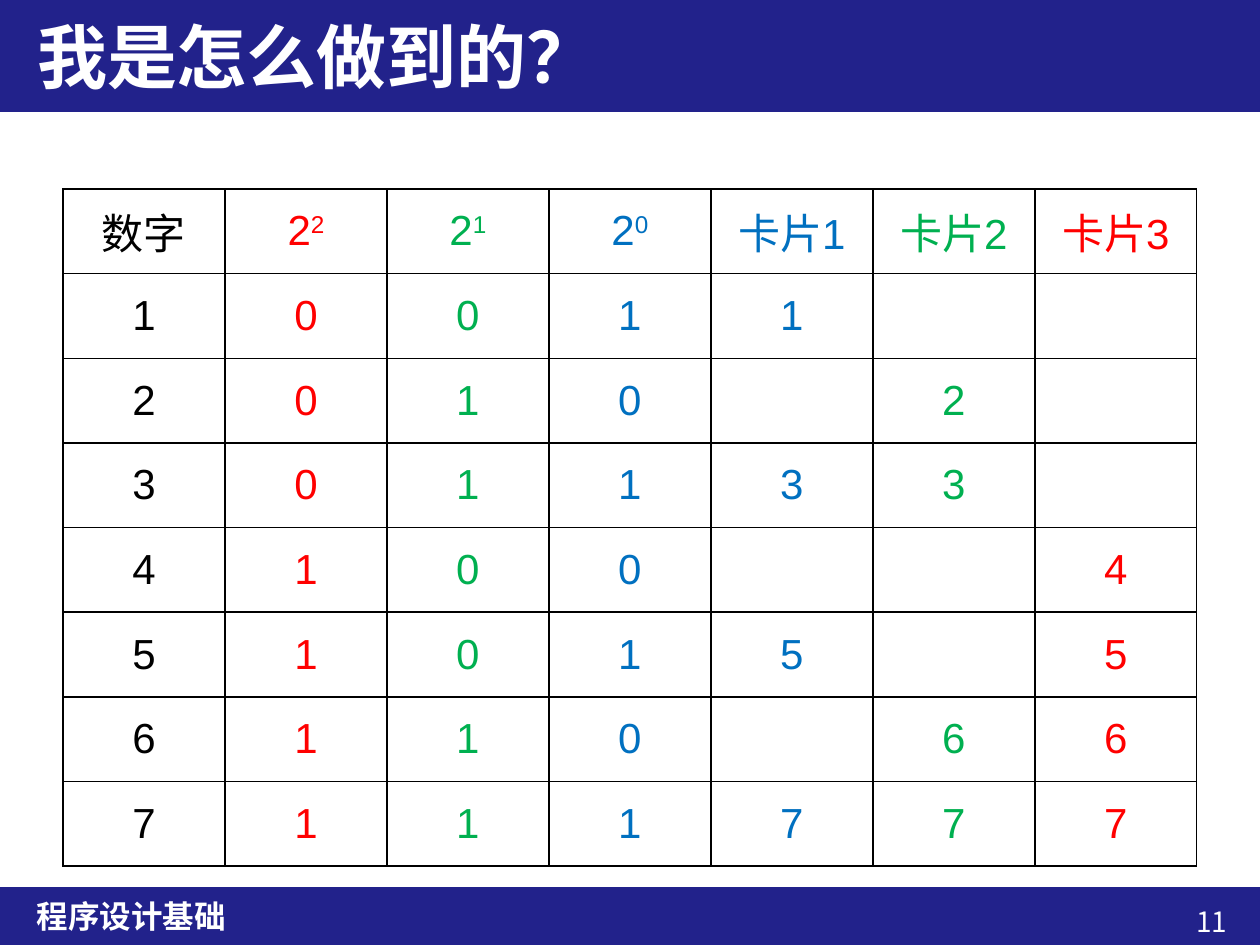
from lxml.etree import SubElement
from pptx import Presentation
from pptx.dml.color import RGBColor
from pptx.enum.shapes import MSO_SHAPE as Shape
from pptx.enum.text import MSO_ANCHOR as Anchor, MSO_AUTO_SIZE as AutoSize, PP_ALIGN as Align
from pptx.oxml.ns import qn
from pptx.util import Pt

NAVY = RGBColor(0x22, 0x22, 0x8B)
WHITE = RGBColor(0xFF, 0xFF, 0xFF)
BLACK = RGBColor(0, 0, 0)
RED = RGBColor(0xFF, 0, 0)
GREEN = RGBColor(0, 0xB0, 0x50)
BLUE = RGBColor(0, 0x70, 0xC0)


class SlideBuilder:
    heading_font = "Noto Sans CJK SC"
    table_font = "Arial"

    def __init__(self, deck):
        self.slide = deck.slides.add_slide(deck.slide_layouts[5])

    def bar(self, left, top, width, height):
        bar = self.slide.shapes.add_shape(
            Shape.RECTANGLE, Pt(left), Pt(top), Pt(width), Pt(height))
        bar.shadow.inherit = False
        bar.fill.solid()
        bar.fill.fore_color.rgb = NAVY
        bar.line.fill.background()
        return bar

    def set_text(self, box, text, size, bold=False, align=Align.LEFT, anchor=Anchor.MIDDLE):
        frame = box.text_frame
        frame.word_wrap = True
        frame.auto_size = AutoSize.NONE
        frame.vertical_anchor = anchor
        para = frame.paragraphs[0]
        para.alignment = align
        span = para.add_run()
        span.text = text
        font = span.font
        font.name, font.size, font.bold = self.heading_font, Pt(size), bold
        font.color.rgb = WHITE
        SubElement(span._r.get_or_add_rPr(), qn("a:ea"), typeface=self.heading_font)

    def title(self, text, left, top, width, height, size):
        title = self.slide.shapes.title
        title.left, title.top = Pt(left), Pt(top)
        title.width, title.height = Pt(width), Pt(height)
        self.set_text(title, text, size, bold=True)
        return title

    def text(self, text, left, top, width, height, size, **style):
        box = self.slide.shapes.add_textbox(Pt(left), Pt(top), Pt(width), Pt(height))
        self.set_text(box, text, size, **style)

    def table(self, rows, colors, left, top, width, height):
        frame = self.slide.shapes.add_table(
            len(rows), len(colors), Pt(left), Pt(top), Pt(width), Pt(height))
        table = frame.table
        table.first_row = table.horz_banding = False
        for row_index, row in enumerate(rows):
            for column, (content, color) in enumerate(zip(row, colors)):
                self.cell(table.cell(row_index, column), content, color)

    def cell(self, cell, content, color):
        """Fill a cell; a (base, exponent) pair gets a raised exponent."""
        cell.vertical_anchor = Anchor.MIDDLE
        para = cell.text_frame.paragraphs[0]
        para.alignment = Align.CENTER
        font = para.font
        font.name, font.size = self.table_font, Pt(24)
        font.color.rgb = color
        base, exponent = content if isinstance(content, tuple) else (content, "")
        if base:
            para.add_run().text = base
        if exponent:
            span = para.add_run()
            span.text = exponent
            span._r.get_or_add_rPr().set("baseline", "30000")
        # Borders come before the fill in the cell properties
        properties = cell._tc.get_or_add_tcPr()
        for side in ("a:lnL", "a:lnR", "a:lnT", "a:lnB"):
            line = SubElement(properties, qn(side), w=str(Pt(1)))
            fill = SubElement(line, qn("a:solidFill"))
            SubElement(fill, qn("a:srgbClr"), val=str(BLACK))
        cell.fill.background()


deck = Presentation()
deck.slide_width, deck.slide_height = Pt(720), Pt(540)
page = SlideBuilder(deck)

# Header, with the title in front of its bar
header = page.bar(-0.5, 0, 721, 64)
title = page.title("我是怎么做到的？", 14, 0, 691, 64, 40)
header.element.addnext(title.element)

# Footer
page.bar(-0.5, 507, 721, 33)
page.text("11", 618.5, 513.5, 90, 26.5, 16, align=Align.RIGHT, anchor=Anchor.TOP)
page.text("程序设计基础", 14, 507, 691, 33, 18, bold=True)

# Binary digits of each number, and the cards that show it
rows = [["数字", ("2", "2"), ("2", "1"), ("2", "0"), "卡片1", "卡片2", "卡片3"]]
for number in range(1, 8):
    bits = [number >> power & 1 for power in (2, 1, 0)]
    cards = [str(number) if bit else "" for bit in reversed(bits)]
    rows.append([str(number), *map(str, bits), *cards])
page.table(rows, [BLACK, RED, GREEN, BLUE, BLUE, GREEN, RED], 36, 108, 648, 387)

deck.save("out.pptx")
